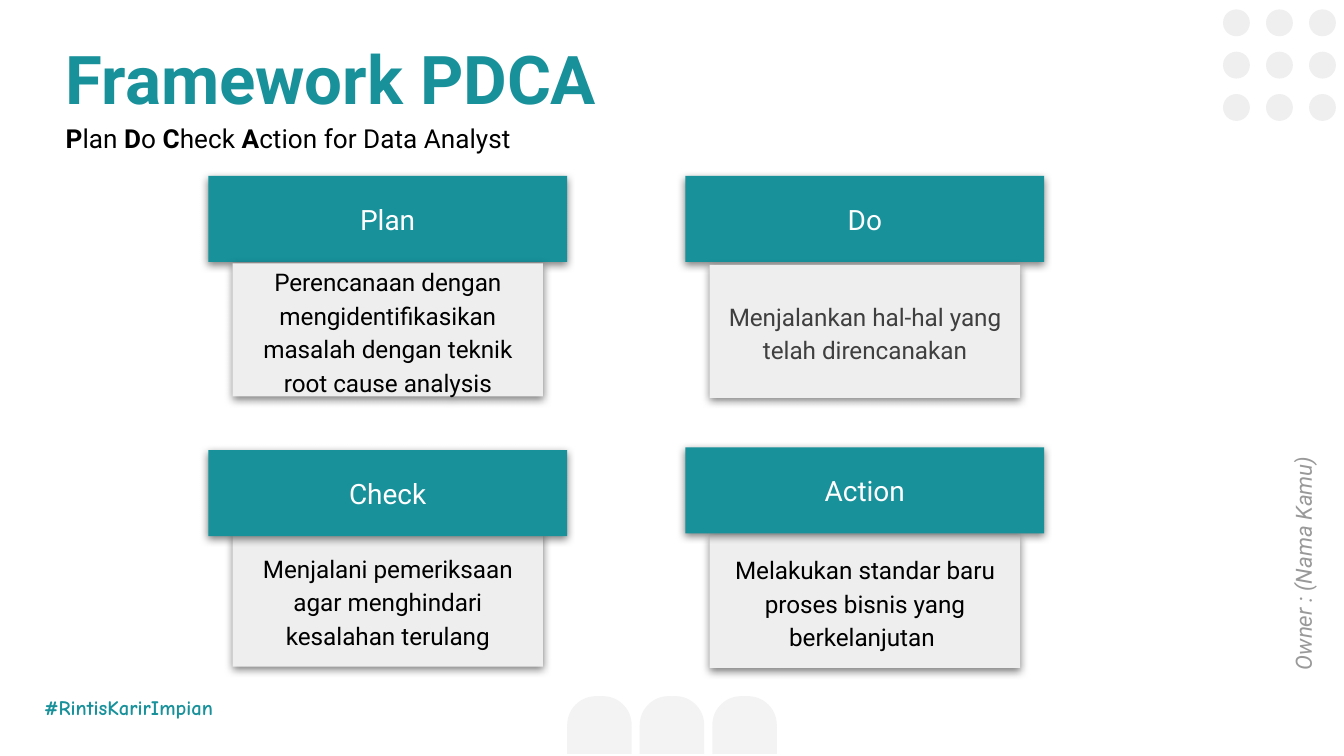
from dataclasses import dataclass

from lxml import etree
from pptx import Presentation
from pptx.dml.color import RGBColor
from pptx.enum.shapes import MSO_SHAPE
from pptx.enum.text import MSO_ANCHOR, MSO_AUTO_SIZE, PP_ALIGN
from pptx.oxml.ns import qn
from pptx.util import Inches, Pt

RECT = MSO_SHAPE.RECTANGLE
OVAL = MSO_SHAPE.OVAL
ARCH = MSO_SHAPE.ROUND_2_SAME_RECTANGLE
MIDDLE = MSO_ANCHOR.MIDDLE
CENTER = PP_ALIGN.CENTER
GROW = MSO_AUTO_SIZE.SHAPE_TO_FIT_TEXT

TEAL = "18919B"
BLACK = "000000"
SANS = "Roboto"
HAND = "Comic Neue"


@dataclass
class Box:
    left: float
    top: float
    width: float
    height: float

    def lengths(self):
        return [Inches(n) for n in (self.left, self.top, self.width, self.height)]


@dataclass
class Style:
    size: float
    color: str
    face: str = SANS
    bold: bool = False
    italic: bool = False
    spacing: float = 1.0


@dataclass
class Card:
    title: str
    text: str
    left: float
    top: float
    drop: float
    ink: str = BLACK
    head_first: bool = True


def rgb(code: str) -> RGBColor:
    return RGBColor.from_string(code)


def add_shadow(shape) -> None:
    effects = shape._element.spPr.find(qn("a:effectLst"))
    outer = etree.SubElement(effects, qn("a:outerShdw"), blurRad=str(Pt(4.5)),
                             dist=str(Pt(1.5)), dir="5400000",
                             algn="bl", rotWithShape="0")
    tint = etree.SubElement(outer, qn("a:srgbClr"), val=BLACK)
    etree.SubElement(tint, qn("a:alpha"), val="50000")


def add_block(parent, kind, box: Box, fill: str):
    shape = parent.shapes.add_shape(kind, *box.lengths())
    shape.shadow.inherit = False
    shape.fill.solid()
    shape.fill.fore_color.rgb = rgb(fill)
    shape.line.fill.background()
    return shape


def set_frame(shape):
    frame = shape.text_frame
    frame.word_wrap = True
    frame.margin_left = frame.margin_right = Inches(0.1)
    frame.margin_top = frame.margin_bottom = Inches(0.1)
    return frame


def set_style(para, style: Style) -> None:
    font = para.font
    font.name = style.face
    font.size = Pt(style.size)
    font.color.rgb = rgb(style.color)
    font.bold = style.bold
    font.italic = style.italic
    para.line_spacing = style.spacing


def add_text(slide, box: Box, text: str, style: Style):
    shape = slide.shapes.add_textbox(*box.lengths())
    para = set_frame(shape).paragraphs[0]
    para.text = text
    set_style(para, style)
    return shape


def add_panel(slide, box: Box, fill: str, text: str, style: Style) -> None:
    shape = add_block(slide, RECT, box, fill)
    add_shadow(shape)
    frame = set_frame(shape)
    frame.vertical_anchor = MIDDLE
    para = frame.paragraphs[0]
    para.text = text
    para.alignment = CENTER
    set_style(para, style)


def add_card(slide, card: Card) -> None:
    head = (Box(card.left, card.top, 2.67, 0.64), TEAL, card.title,
            Style(15, "FFFFFF"))
    body = (Box(card.left + 0.18, card.top + card.drop, 2.31, 0.99), "EEEEEE",
            card.text, Style(13, card.ink, spacing=1.15))
    for panel in (head, body) if card.head_first else (body, head):
        add_panel(slide, *panel)


def add_title(slide) -> None:
    shape = add_text(slide, Box(0.39, 0.18, 8.62, 1.04), "Framework PDCA",
                     Style(36, TEAL, bold=True))
    shape.text_frame.auto_size = GROW
    para = shape.text_frame.add_paragraph()
    set_style(para, Style(14, BLACK, spacing=1.15))
    for word in ("Plan ", "Do ", "Check ", "Action for Data Analyst"):
        for part, bold in ((word[0], True), (word[1:], False)):
            run = para.add_run()
            run.text = part
            run.font.bold = bold


def add_decor(slide) -> None:
    arches = slide.shapes.add_group_shape()
    for col in range(3):
        arch = add_block(arches, ARCH, Box(4.22 + 0.54 * col, 5.18, 0.48, 0.43),
                         "F3F3F3")
        arch.adjustments[0] = 0.5
        arch.adjustments[1] = 0
    dots = slide.shapes.add_group_shape()
    for row in range(3):
        for col in range(3):
            add_block(dots, OVAL,
                      Box(9.1 + 0.32 * col, 0.07 + 0.63 * row / 2, 0.2, 0.2),
                      "EFEFEF")


CARDS = [
    Card("Plan", "Perencanaan dengan mengidentifikasikan masalah dengan teknik "
         "root cause analysis", 1.55, 1.31, 0.65),
    Card("Do", "Menjalankan hal-hal yang telah direncanakan",
         5.1, 1.31, 0.66, ink="3F3F3F"),
    Card("Check", "Menjalani pemeriksaan agar menghindari kesalahan terulang",
         1.55, 3.35, 0.62, head_first=False),
    Card("Action", "Melakukan standar baru proses bisnis yang berkelanjutan ",
         5.1, 3.33, 0.65, head_first=False),
]


def main() -> None:
    deck = Presentation()
    deck.slide_width = Inches(10)
    deck.slide_height = deck.slide_width * 9 // 16
    slide = deck.slides.add_slide(deck.slide_layouts[6])
    add_decor(slide)
    tag = add_text(slide, Box(0.23, 5.08, 1.57, 0.39), "#RintisKarirImpian",
                   Style(11, TEAL, HAND, bold=True))
    tag.text_frame.auto_size = GROW
    add_title(slide)
    for card in CARDS:
        add_card(slide, card)
    owner = add_text(slide, Box(7.43, 2.62, 4.5, 0.43), "Owner : (Nama Kamu)",
                     Style(12, "999999", italic=True, spacing=1.15))
    owner.rotation = 270
    deck.save("out.pptx")


if __name__ == "__main__":
    main()
